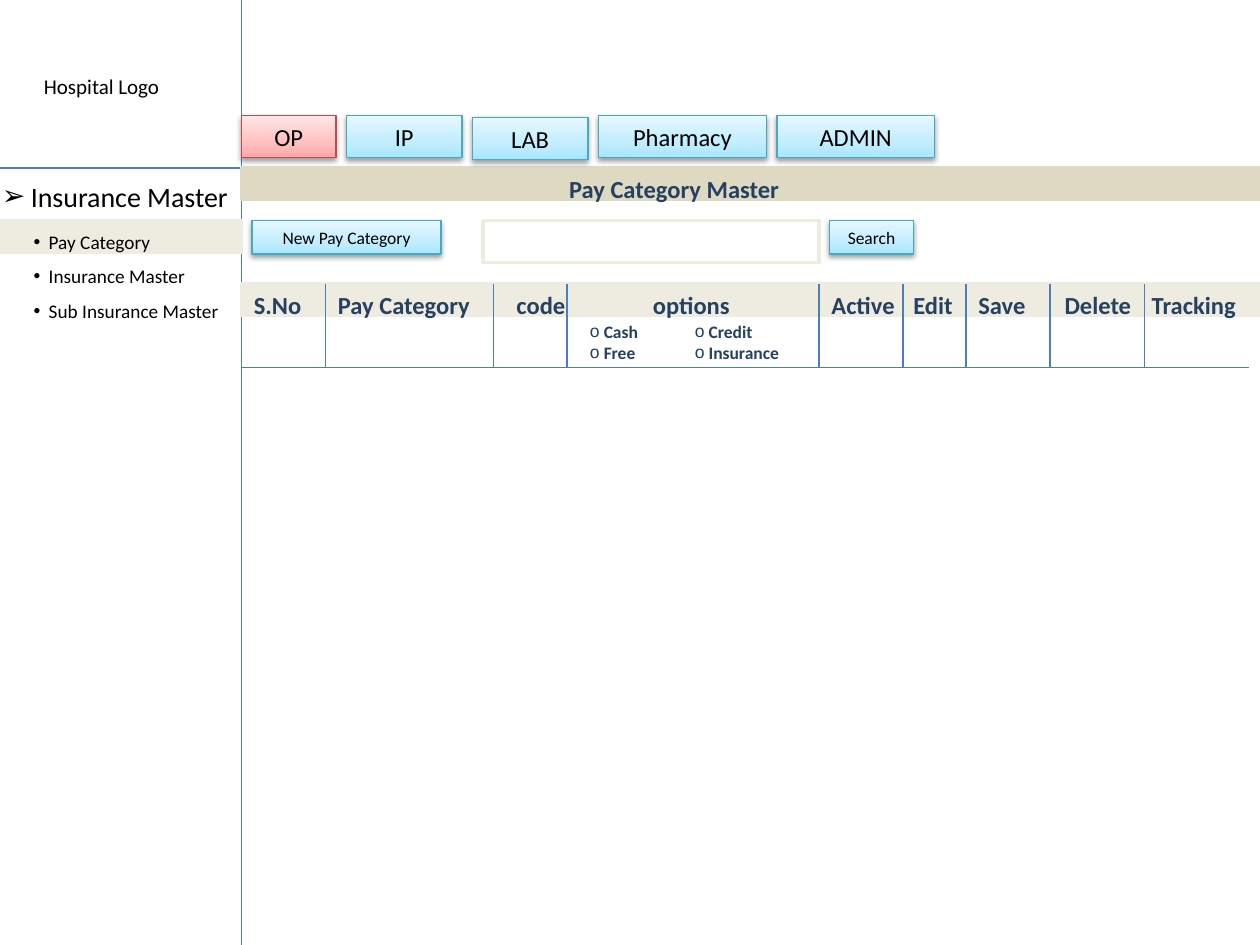
"""Builds the Pay Category Master screen of a hospital system on a grid of twelfths of an inch."""
from copy import deepcopy
from dataclasses import dataclass

from lxml.etree import SubElement
from pptx import Presentation
from pptx.dml.color import RGBColor
from pptx.enum.shapes import MSO_CONNECTOR as Connector, MSO_SHAPE as Preset
from pptx.enum.text import MSO_ANCHOR as Anchor, MSO_AUTO_SIZE as AutoSize, PP_ALIGN as Align
from pptx.oxml.ns import qn
from pptx.util import Inches, Pt


@dataclass(frozen=True)
class Theme:
    font: str = "Calibri"
    black: str = "000000"
    navy: str = "254061"
    rule: str = "4B7EBC"
    white: str = "FFFFFF"
    light_band: str = "EEECE1"
    title_band: str = "DDD9C3"
    red: tuple = ("BF4C48", "FFA6A5", "FFC0BF", "FFE7E7")
    blue: tuple = ("46AAC5", "A7E6FF", "C1EDFF", "E7F8FF")
    menu: int = 16
    heading: int = 14
    logo: int = 12
    item: int = 11
    small: int = 10


THEME = Theme()
COLUMNS, ROWS = 120, 90
SIDEBAR = 23
TITLE_ROW, TOOL_ROW, HEADER_ROW, OPTION_ROW, END_ROW = 16, 21, 27, 30, 35
BAND, LABEL, BUTTON = 3, 4.04, 3.2
TAB_TOP, TAB_GAP = 11, 1

TABS = [("OP", 9, 0), ("IP", 11, 0), ("LAB", 11, 0.16), ("Pharmacy", 16, 0), ("ADMIN", 15, 0)]
BUTTONS = [("New Pay Category", 24, 18), ("Search", 79, 8)]
MENU = ["Insurance Master"]
MENU_ITEMS = ["Pay Category", "Insurance Master", "Sub Insurance Master"]
HEADERS = [
    ("S.No", 23, 7), ("Pay Category", 31, 15.1), ("code", 48, 7.1), ("options", 61, 9.8),
    ("Active", 78, 8.5), ("Edit", 85.8, 6.2), ("Save", 92, 7), ("Delete", 100.2, 8.8),
    ("Tracking", 108.5, 10.4),
]
OPTIONS = [(["Cash", "Free"], 55, 7.1), (["Credit", "Insurance"], 65, 10.6)]
COLUMN_EDGES = [31, 47, 54, 78, 86, 92, 100, 109]
BANDS = [
    (0, TOOL_ROW, SIDEBAR, BAND, THEME.light_band, THEME.light_band),
    (SIDEBAR, HEADER_ROW, COLUMNS - SIDEBAR, BAND, THEME.light_band, THEME.light_band),
    (SIDEBAR, TITLE_ROW, COLUMNS - SIDEBAR, BAND, THEME.title_band, THEME.title_band),
    (46, TOOL_ROW, 32, 4, THEME.white, THEME.light_band),
]


def grid(*cells):
    return [Inches(cell / 12) for cell in cells]


def write(shape, lines, size, color=THEME.black, bold=False, align=Align.LEFT,
          bullet=None, indent=0, spacing=1):
    frame = shape.text_frame
    frame.text = "\n".join(lines)
    frame.auto_size = AutoSize.SHAPE_TO_FIT_TEXT
    for paragraph in frame.paragraphs:
        paragraph.alignment = align
        paragraph.line_spacing = spacing
        paragraph.space_before = Pt(0)
        if bullet:
            properties = paragraph.runs[0].font and paragraph._p.get_or_add_pPr()
            properties.set("marL", str(Inches(indent)))
            properties.set("indent", str(-Inches(indent)))
            SubElement(properties, qn("a:buFont"), typeface="Arial")
            SubElement(properties, qn("a:buChar"), char=bullet)
        for run in paragraph.runs:
            run.font.name, run.font.size, run.font.bold = THEME.font, Pt(size), bold
            run.font.color.rgb = RGBColor.from_string(color)


def add_label(slide, lines, place, size, **style):
    box = slide.shapes.add_textbox(*grid(*place))
    box.text_frame.word_wrap = False
    write(box, lines, size, **style)


def fill_placeholder(slide, placeholder, lines, place, size, **style):
    slide.shapes.element.append(placeholder.element)
    placeholder.left, placeholder.top, placeholder.width, placeholder.height = grid(*place)
    placeholder.text_frame.word_wrap = False
    placeholder.text_frame.vertical_anchor = Anchor.TOP
    write(placeholder, lines, size, **style)


def add_band(slide, left, top, width, height, fill, outline):
    band = slide.shapes.add_shape(Preset.RECTANGLE, *grid(left, top, width, height))
    band.shadow.inherit = False
    band.fill.solid()
    band.fill.fore_color.rgb = RGBColor.from_string(fill)
    band.line.color.rgb = RGBColor.from_string(outline)
    band.line.width = Pt(2)


def add_button(slide, text, place, size, colors):
    button = slide.shapes.add_shape(Preset.RECTANGLE, *grid(*place))
    outline, *shades = colors
    button.fill.gradient()
    button.fill.gradient_angle = 90
    stops = button.element.spPr.find(".//" + qn("a:gsLst"))
    stops.insert(1, deepcopy(stops[0]))
    for stop, shade, position in zip(button.fill.gradient_stops, shades, (0, 0.35, 1)):
        stop.color.rgb = RGBColor.from_string(shade)
        stop.position = position
    button.line.color.rgb = RGBColor.from_string(outline)
    button.line.width = Pt(0.75)
    button.shadow.inherit = False
    effects = button.element.spPr.find(qn("a:effectLst"))
    shadow = SubElement(effects, qn("a:outerShdw"), blurRad=str(Pt(3.1)), dist=str(Pt(1.6)),
                        dir="5400000", rotWithShape="0")
    SubElement(SubElement(shadow, qn("a:srgbClr"), val=THEME.black), qn("a:alpha"), val="38000")
    write(button, [text], size, align=Align.CENTER)


def add_rule(slide, *ends):
    rule = slide.shapes.add_connector(Connector.STRAIGHT, *grid(*ends))
    rule.line.color.rgb = RGBColor.from_string(THEME.rule)
    rule.line.width = Pt(0.75)
    SubElement(rule.element.spPr, qn("a:effectLst"))


def main():
    presentation = Presentation()
    presentation.slide_width, presentation.slide_height = grid(COLUMNS, ROWS)
    slide = presentation.slides.add_slide(presentation.slide_layouts[1])
    title, menu_list = slide.placeholders
    heading = {"size": THEME.heading, "color": THEME.navy, "bold": True}

    add_rule(slide, 0, TITLE_ROW, COLUMNS, TITLE_ROW)
    add_rule(slide, SIDEBAR, 0, SIDEBAR, ROWS)
    for band in BANDS:
        add_band(slide, *band)

    add_label(slide, ["Hospital Logo"], (3, 6.4, 13.6, 3.6), THEME.logo)
    add_label(slide, MENU, (-1, 14.9, 24.7, 5.5), THEME.menu, bullet="➢", indent=0.23, spacing=1.5)
    fill_placeholder(slide, menu_list, MENU_ITEMS, (2, 20.2, 20.6, 11.2), THEME.item,
                     bullet="•", indent=0.12, spacing=1.5)
    fill_placeholder(slide, title, ["Pay Category Master"], (53, TITLE_ROW, 22.6, LABEL), **heading)

    left = SIDEBAR
    for text, width, drop in TABS:
        colors = THEME.red if left == SIDEBAR else THEME.blue
        add_button(slide, text, (left, TAB_TOP + drop, width, LABEL), THEME.heading, colors)
        left += width + TAB_GAP
    for text, left, width in BUTTONS:
        add_button(slide, text, (left, TOOL_ROW, width, BUTTON), THEME.small, THEME.blue)

    for text, left, width in HEADERS:
        add_label(slide, [text], (left, HEADER_ROW, width, LABEL), **heading)
    for lines, left, width in OPTIONS:
        add_label(slide, lines, (left, OPTION_ROW, width, 5.3), THEME.small,
                  color=THEME.navy, bold=True, bullet="o", indent=0.11)
    add_rule(slide, SIDEBAR, END_ROW, COLUMNS - 1, END_ROW)
    for edge in COLUMN_EDGES:
        add_rule(slide, edge, HEADER_ROW, edge, END_ROW)

    presentation.save("out.pptx")


if __name__ == "__main__":
    main()
